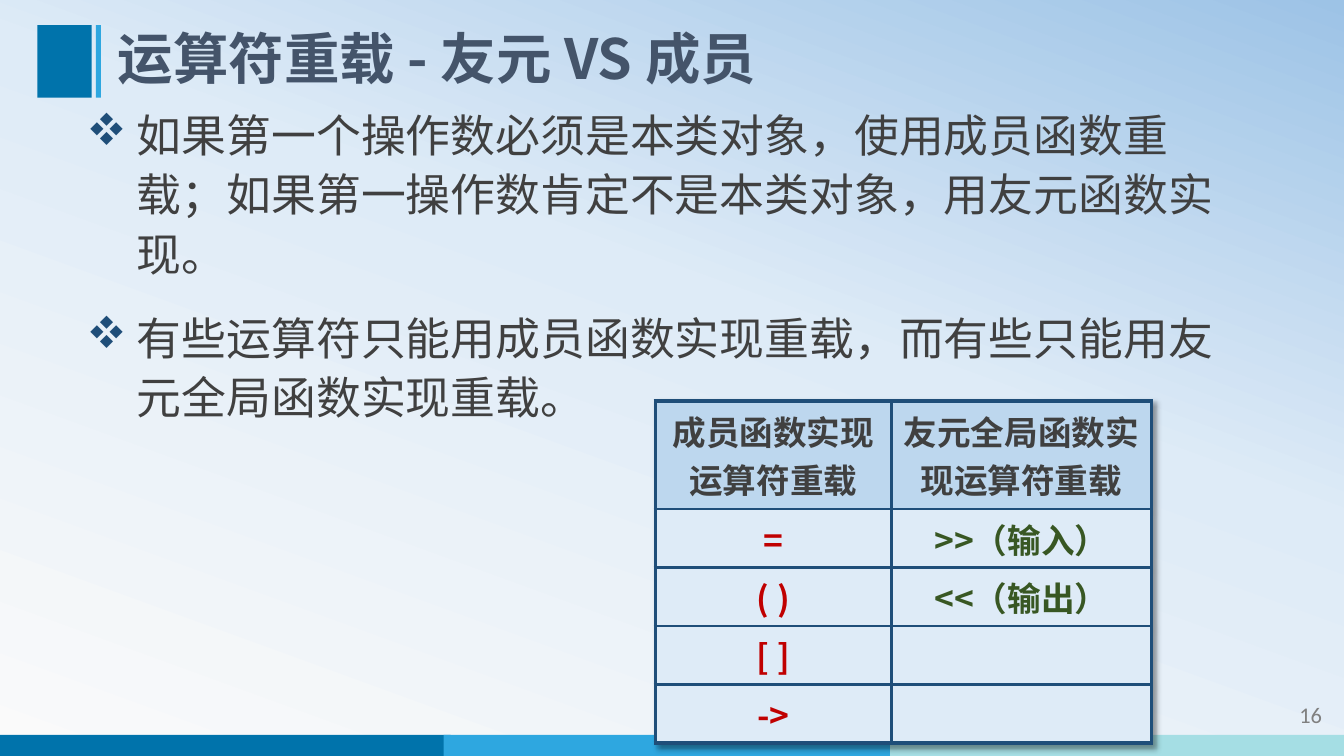
"""Build the slide on operator overloading: friend versus member functions."""
from copy import deepcopy

from lxml.etree import SubElement
from pptx import Presentation
from pptx.dml.color import RGBColor
from pptx.enum.shapes import MSO_SHAPE
from pptx.enum.text import MSO_ANCHOR, PP_ALIGN
from pptx.oxml import parse_xml
from pptx.oxml.ns import nsdecls, qn
from pptx.util import Inches, Pt

CJK = "Noto Sans CJK SC"
NAVY = "1F4E79"
rgb = RGBColor.from_string


def write(tf, text, size, color, bold=False, align=PP_ALIGN.LEFT, font=CJK, new=False):
    p = tf.add_paragraph() if new else tf.paragraphs[0]
    p.alignment = align
    r = p.add_run()
    r.text = text
    r.font.size = Pt(size)
    r.font.bold = bold
    r.font.name = font
    r.font.color.rgb = rgb(color)
    SubElement(r.font._element, qn("a:ea"), typeface=font)
    return p


def text_box(left, top, width, height, anchor):
    tf = s.shapes.add_textbox(Inches(left), Inches(top), Inches(width), Inches(height)).text_frame
    tf.word_wrap = True
    tf.vertical_anchor = anchor
    return tf


prs = Presentation()
prs.slide_width, prs.slide_height = Inches(13.33), Inches(7.5)
s = prs.slides.add_slide(prs.slide_layouts[6])

fill = s.background.fill
fill.gradient()
fill.gradient_angle = 70
stops = s.element.find(".//" + qn("a:gsLst"))
stops.insert(1, deepcopy(stops[0]))
for stop, (position, color) in zip(fill.gradient_stops, [(0, "FAFAFA"), (0.58, "DEEBF7"), (1, "9DC3E6")]):
    stop.position = position
    stop.color.rgb = rgb(color)

bars = [
    (-0.03, 7.29, 4.5, 0.21, "0073AB"),
    (4.4, 7.29, 4.5, 0.21, "2EA7E0"),
    (8.83, 7.29, 4.5, 0.21, "A5DEE4"),
    (0.37, 0.25, 0.54, 0.72, "0073AB"),
    (0.95, 0.25, 0.05, 0.72, "2EA7E0"),
]
for left, top, width, height, color in bars:
    sp = s.shapes.add_shape(MSO_SHAPE.RECTANGLE, Inches(left), Inches(top), Inches(width), Inches(height))
    sp.shadow.inherit = False
    sp.fill.solid()
    sp.fill.fore_color.rgb = rgb(color)
    sp.line.fill.background()

tf = text_box(11.62, 6.89, 1.59, 0.4, MSO_ANCHOR.MIDDLE)
write(tf, "16", 16, "808080", align=PP_ALIGN.RIGHT, font="Calibri")

tf = text_box(1.07, 0.25, 10.86, 0.72, MSO_ANCHOR.MIDDLE)
p = write(tf, "运算符重载 - 友元 VS 成员", 39.6, "44546A", bold=True)
p.line_spacing = 0.9

tf = text_box(0.64, 0.97, 11.79, 3.56, MSO_ANCHOR.TOP)
points = [
    "如果第一个操作数必须是本类对象，使用成员函数重载；如果第一操作数肯定不是本类对象，用友元函数实现。",
    "有些运算符只能用成员函数实现重载，而有些只能用友元全局函数实现重载。",
]
for i, point in enumerate(points):
    p = write(tf, point, 32, "404040", new=i > 0)
    p.line_spacing = 1.1
    p.space_before = Pt(18)
    pPr = p._p.get_or_add_pPr()
    pPr.set("marL", str(Inches(0.62)))
    pPr.set("indent", str(Inches(-0.5)))
    pPr.set("hangingPunct", "0")
    SubElement(SubElement(pPr, qn("a:buClr")), qn("a:srgbClr"), val=NAVY)
    SubElement(pPr, qn("a:buFont"), typeface="Wingdings", charset="2")
    SubElement(pPr, qn("a:buChar"), char="v")

rows = [
    ("成员函数实现运算符重载", "友元全局函数实现运算符重载"),
    ("=", ">>（输入）"),
    ("( )", "<<（输出）"),
    ("[ ]", ""),
    ("->", ""),
]
table = s.shapes.add_table(5, 2, Inches(6.5), Inches(3.98), Inches(4.92), Inches(3.39)).table
table._tbl.tblPr.insert(0, parse_xml(
    f'<a:effectLst {nsdecls("a")}><a:outerShdw blurRad="50800" dist="38100" dir="2700000" algn="tl">'
    '<a:prstClr val="black"><a:alpha val="40000"/></a:prstClr></a:outerShdw></a:effectLst>'))
for column, width in zip(table.columns, (2.34, 2.58)):
    column.width = Inches(width)
for i, row in enumerate(rows):
    table.rows[i].height = Inches(0.58 if i else 1.07)
    for j, text in enumerate(row):
        cell = table.cell(i, j)
        cell.fill.solid()
        cell.fill.fore_color.rgb = rgb("DEEBF7" if i else "BDD7EE")
        if text:
            color = ("C00000", "385723")[j] if i else "404040"
            write(cell.text_frame, text, 24, color, bold=True, align=PP_ALIGN.CENTER)
        tcPr = cell._tc.get_or_add_tcPr()
        outer = {"L": j == 0, "R": j == 1, "T": i == 0, "B": i == 4}
        for k, (side, is_outer) in enumerate(outer.items()):
            width = Pt(3 if is_outer else 2.25)
            tcPr.insert(k, parse_xml(
                f'<a:ln{side} {nsdecls("a")} w="{width}"><a:solidFill><a:srgbClr val="{NAVY}"/>'
                f'</a:solidFill></a:ln{side}>'))

prs.save("out.pptx")
